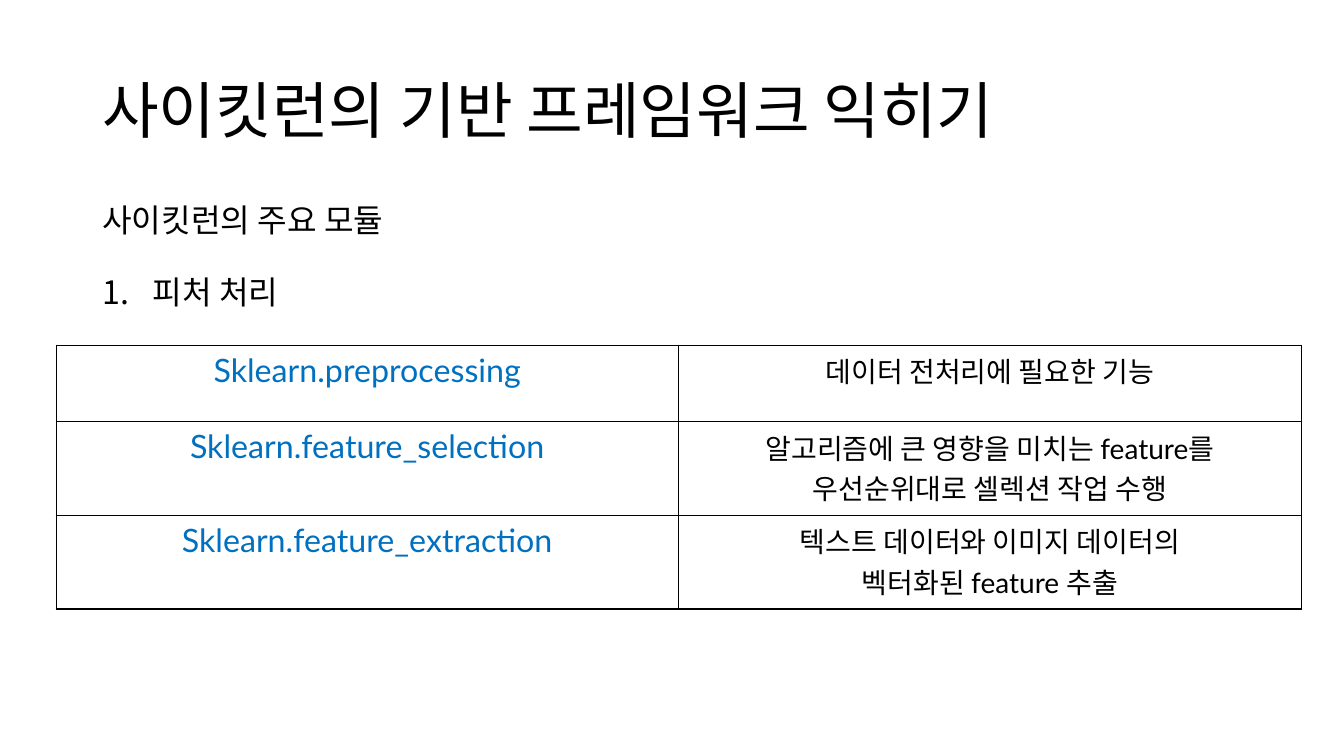
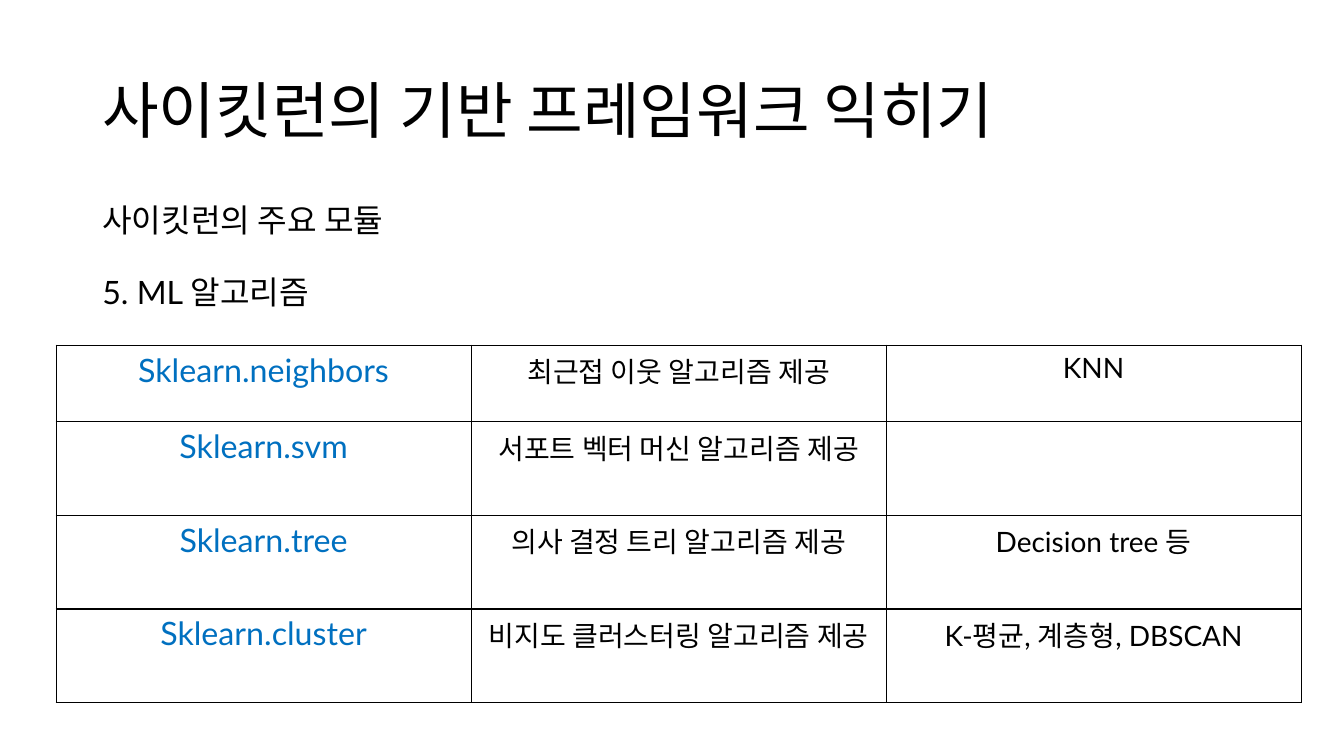
from lxml.etree import SubElement
from pptx import Presentation
from pptx.dml.color import RGBColor
from pptx.enum.text import MSO_ANCHOR as ANCHOR, PP_ALIGN as ALIGN
from pptx.oxml.ns import qn
from pptx.util import Inches, Pt

UNIT = Inches(1) // 12  # the slide is a grid of 160 columns by 90 rows


def rgb(code):
    return RGBColor.from_string(code)


def grid(*cells):
    return [round(c * UNIT) for c in cells]


class Deck:
    BLACK, BLUE = "000000", "0070C0"
    HEAD_FONT, FONT = "Roboto", "Lato"
    TITLE_PT, BODY_PT, CELL_PT = 44, 23, 20
    LEFT, WIDTH = 11, 138
    TABLE_LEFT, TABLE_TOP, TABLE_WIDTH = 6.7, 41.1, 148.2
    FIRST_ROW, NEXT_ROW = 9.1, 11.15

    def __init__(self):
        self.prs = Presentation()
        self.prs.slide_width, self.prs.slide_height = grid(160, 90)

    def slide(self):
        self.s = self.prs.slides.add_slide(self.prs.slide_layouts[6])

    def run(self, p, text, size, color=BLACK, font=FONT):
        r = p.add_run()
        r.text = text
        r.font.size, r.font.name = Pt(size), font
        r.font.color.rgb = rgb(color)

    def paragraphs(self, tf, lines):
        """Yield one paragraph for each line, starting with the existing one."""
        for i, line in enumerate(lines):
            yield (tf.add_paragraph() if i else tf.paragraphs[0]), line

    def box(self, top, height, anchor=ANCHOR.TOP):
        tf = self.s.shapes.add_textbox(*grid(self.LEFT, top, self.WIDTH, height)).text_frame
        tf.word_wrap, tf.vertical_anchor = True, anchor
        return tf

    def title(self, text):
        p = self.box(4.8, 17.4, ANCHOR.MIDDLE).paragraphs[0]
        p.line_spacing = 0.9
        self.run(p, text, self.TITLE_PT, font=self.HEAD_FONT)

    def body(self, *lines, numbered=()):
        for p, line in self.paragraphs(self.box(21, 58.5), lines):
            p.line_spacing, p.space_before = 1.5, Pt(10)
            if line in numbered:
                self.number(p)
            self.run(p, line, self.BODY_PT)

    def number(self, p):
        pPr = p._p.get_or_add_pPr()
        indent = Inches(0.5)
        pPr.set("marL", str(indent))
        pPr.set("indent", str(-indent))
        SubElement(pPr, qn("a:buFont"), typeface=self.FONT)
        SubElement(pPr, qn("a:buAutoNum"), type="arabicPeriod")

    def border(self, cell):
        tcPr = cell._tc.get_or_add_tcPr()
        for side in "LRTB":
            ln = SubElement(tcPr, qn(f"a:ln{side}"), w=str(Pt(1)))
            fill = SubElement(ln, qn("a:solidFill"))
            SubElement(fill, qn("a:srgbClr"), val=self.BLACK)

    def table(self, rows):
        """Module names in the first column, what they offer in the others."""
        n, m = len(rows), len(rows[0])
        heights = [self.FIRST_ROW] + [self.NEXT_ROW] * (n - 1)
        frame = self.s.shapes.add_table(n, m, *grid(
            self.TABLE_LEFT, self.TABLE_TOP, self.TABLE_WIDTH, sum(heights)))
        tbl = frame.table
        tbl.first_row = tbl.horz_banding = False
        for row, height in zip(tbl.rows, grid(*heights)):
            row.height = height
        for i, texts in enumerate(rows):
            for j, text in enumerate(texts):
                cell = tbl.cell(i, j)
                self.border(cell)
                cell.fill.background()
                size, color = (self.CELL_PT, self.BLACK) if j else (self.BODY_PT, self.BLUE)
                for p, line in self.paragraphs(cell.text_frame, text.splitlines()):
                    p.alignment = ALIGN.CENTER
                    self.run(p, line, size, color)


def main():
    deck = Deck()
    title, topic = "사이킷런의 기반 프레임워크 익히기", "사이킷런의 주요 모듈"

    # Feature processing
    deck.slide()
    deck.title(title)
    deck.body(topic, "피처 처리", numbered=["피처 처리"])
    deck.table([
        ("Sklearn.preprocessing", "데이터 전처리에 필요한 기능"),
        ("Sklearn.feature_selection",
         "알고리즘에 큰 영향을 미치는 feature를\n우선순위대로 셀렉션 작업 수행"),
        ("Sklearn.feature_extraction",
         "텍스트 데이터와 이미지 데이터의\n벡터화된 feature 추출"),
    ])

    # Machine learning algorithms
    deck.slide()
    deck.title(title)
    deck.body(topic, "5. ML 알고리즘")
    deck.table([
        ("Sklearn.neighbors", "최근접 이웃 알고리즘 제공", "KNN"),
        ("Sklearn.svm", "서포트 벡터 머신 알고리즘 제공", ""),
        ("Sklearn.tree", "의사 결정 트리 알고리즘 제공", "Decision tree 등"),
        ("Sklearn.cluster", "비지도 클러스터링 알고리즘 제공", "K-평균, 계층형, DBSCAN"),
    ])

    deck.prs.save("out.pptx")


if __name__ == "__main__":
    main()
